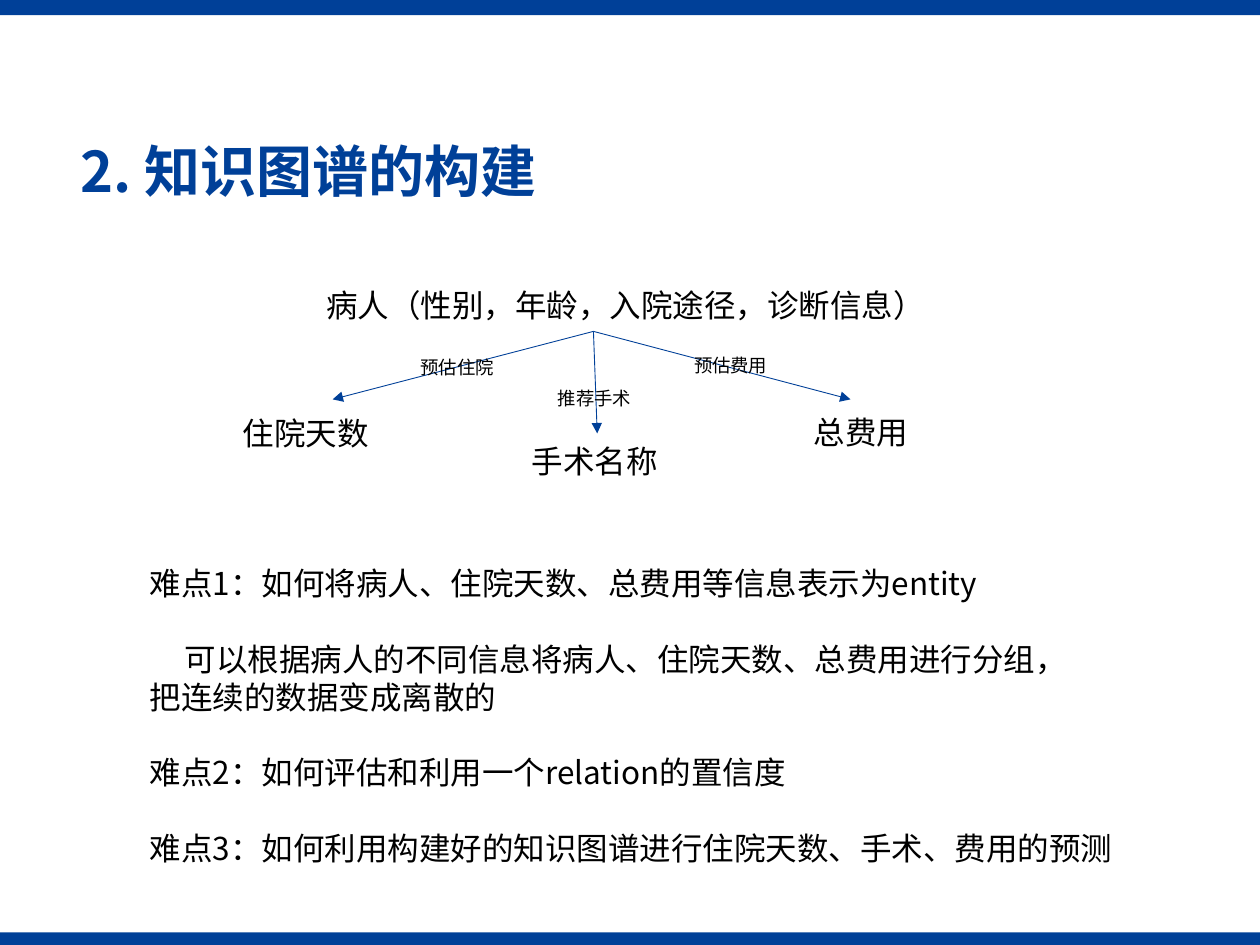
from lxml import etree
from pptx import Presentation
from pptx.dml.color import RGBColor
from pptx.enum import shapes, text
from pptx.oxml.ns import qn
from pptx.util import Pt

THEME = dict(font="Noto Sans CJK SC", blue="004098", ink="000000",
             title=32, body=18, label=10.5, line=0.5, lead=1.2)
WIDE, HIGH = 720, 540

BARS = [(0, 8.64), (532.8, 7.2)]  # top, height
TITLE = "2. 知识图谱的构建"
NODES = [  # text, left, top, width
    ("病人（性别，年龄，入院途径，诊断信息）", 179.28, 159.84, 361.44),
    ("住院天数", 131.76, 233.28, 87.12),
    ("手术名称", 296.64, 249.12, 87.12),
    ("总费用", 457.92, 232.56, 69.12),
]
START = (339.12, 189.36)
ENDS = [(190.08, 228.24), (341.28, 247.68), (486, 228.24)]
LABELS = [
    ("推荐手术", 311.76, 217.44, 59.04),
    ("预估住院", 233.28, 200.16, 56.88),
    ("预估费用", 389.52, 198.72, 56.88),
]
POINTS = [  # text, blank line before, first-line indent
    ("难点1：如何将病人、住院天数、总费用等信息表示为entity", False, 0),
    ("可以根据病人的不同信息将病人、住院天数、总费用进行分组，", True, 20),
    ("把连续的数据变成离散的", False, 0),
    ("难点2：如何评估和利用一个relation的置信度", True, 0),
    ("难点3：如何利用构建好的知识图谱进行住院天数、手术、费用的预测", True, 0),
]


def color(name):
    return RGBColor.from_string(THEME[name])


def add_text(slide, rows, box, size="body", ink="ink", bold=False,
             wrap=False, anchor=text.MSO_ANCHOR.TOP, lead=None):
    """Add rows of (text, blank line before, first-line indent)."""
    frame = slide.shapes.add_textbox(*map(Pt, box)).text_frame
    frame.word_wrap = wrap
    frame.vertical_anchor = anchor
    pitch = THEME[size] * THEME["lead"]
    for i, (words, gap, indent) in enumerate(rows):
        para = frame.paragraphs[0] if i == 0 else frame.add_paragraph()
        para.line_spacing = lead or Pt(pitch)
        para.space_before = Pt(pitch if gap else 0)
        if indent:
            para._p.get_or_add_pPr().set("indent", str(Pt(indent)))
        run = para.add_run()
        run.text = words
        font = run.font
        font.name, font.size, font.bold = THEME["font"], Pt(THEME[size]), bold
        font.color.rgb = color(ink)
        east = etree.SubElement(run._r.get_or_add_rPr(), qn("a:ea"))
        east.set("typeface", THEME["font"])


def add_bar(slide, top, high):
    bar = slide.shapes.add_shape(shapes.MSO_SHAPE.RECTANGLE,
                                 0, Pt(top), Pt(WIDE), Pt(high))
    bar.shadow.inherit = False
    bar.fill.solid()
    bar.fill.fore_color.rgb = color("blue")
    bar.line.fill.background()


def add_arrow(slide, start, end):
    link = slide.shapes.add_connector(shapes.MSO_CONNECTOR.STRAIGHT,
                                      *map(Pt, start + end))
    link.line.color.rgb = color("blue")
    link.line.width = Pt(THEME["line"])
    tip = etree.SubElement(link.line._get_or_add_ln(), qn("a:tailEnd"))
    tip.set("type", "triangle")
    etree.SubElement(link._element.spPr, qn("a:effectLst"))


def main():
    deck = Presentation()
    deck.slide_width, deck.slide_height = Pt(WIDE), Pt(HIGH)
    slide = deck.slides.add_slide(deck.slide_layouts[6])
    for top, high in BARS:
        add_bar(slide, top, high)
    add_text(slide, [(TITLE, False, 0)], (38.88, 77.04, 659.52, 45.36),
             size="title", ink="blue", bold=True, wrap=True,
             anchor=text.MSO_ANCHOR.MIDDLE, lead=0.9)
    for words, left, top, wide in NODES:
        add_text(slide, [(words, False, 0)], (left, top, wide, 28.8))
    for end in ENDS:
        add_arrow(slide, START, end)
    add_text(slide, POINTS, (78.48, 318.96, 568.8, 181.44), wrap=True)
    for words, left, top, wide in LABELS:
        add_text(slide, [(words, False, 0)], (left, top, wide, 20.16),
                 size="label")
    deck.save("out.pptx")


if __name__ == "__main__":
    main()
